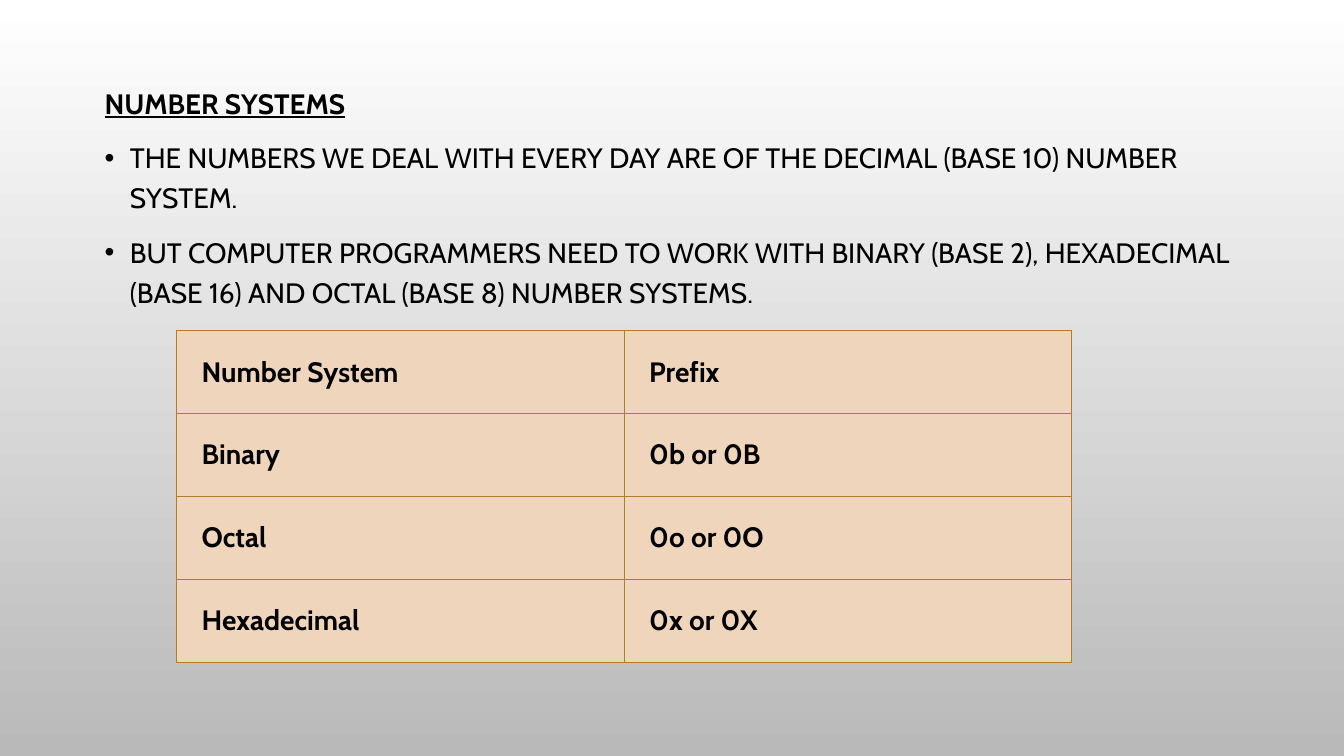
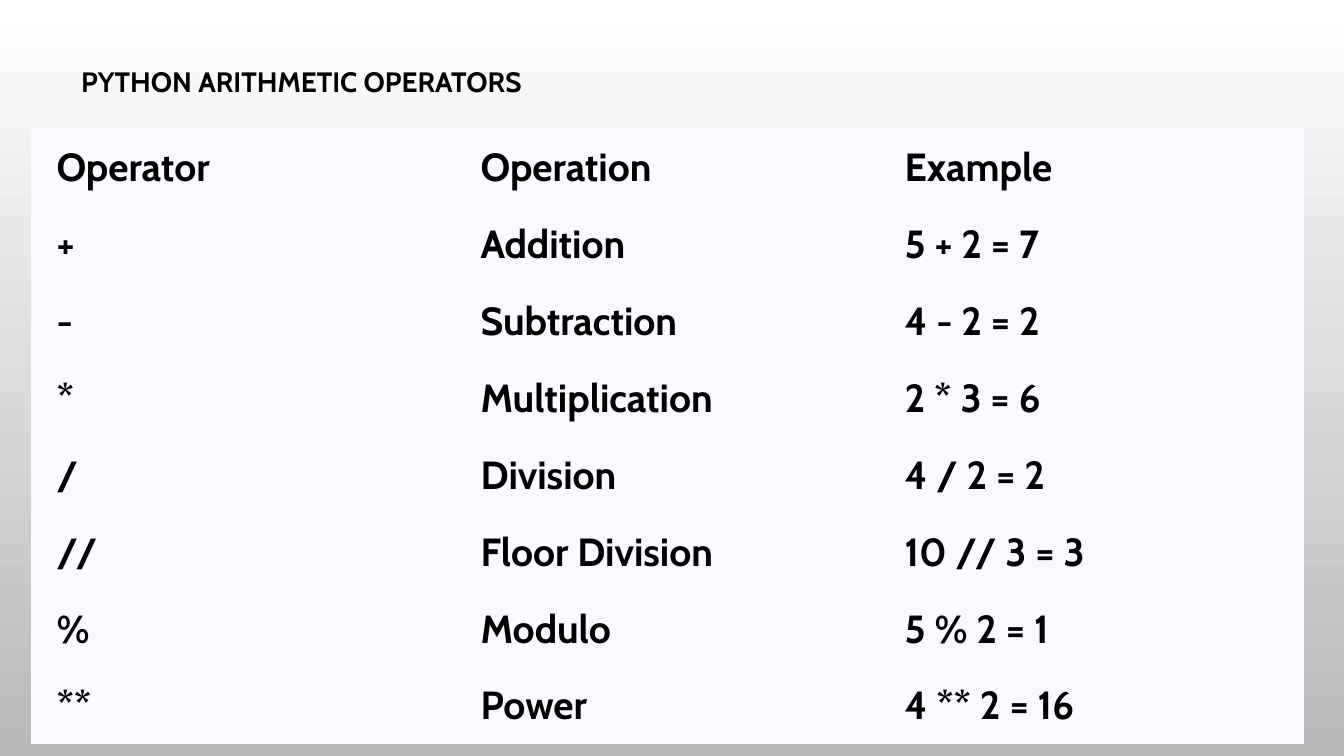
from dataclasses import dataclass

from lxml.etree import SubElement
from pptx import Presentation
from pptx.dml.color import RGBColor
from pptx.enum.text import MSO_ANCHOR
from pptx.oxml import parse_xml
from pptx.oxml.ns import nsdecls, qn
from pptx.util import Inches, Pt


@dataclass(frozen=True)
class Theme:
    font: str = "Cabin"
    bullet_font: str = "Arial"
    ink: str = "000000"
    backdrop: tuple = ("FFFFFF", "B9B9B9")
    peach: str = "EFD5BC"
    bronze: str = "AE7D32"
    ice: str = "F8FAFF"
    body_size: int = 20
    large_size: int = 28
    line_spacing: float = 1.2
    paragraph_gap: int = 10
    bullet_indent: float = 0.25
    cell_inset: tuple = (0.25, 0.12)
    border_width: float = 0.75
    plain_table: str = "{2D5ABB26-0587-4C30-8999-92F81FD0307C}"


class Deck:
    def __init__(self, theme):
        self.theme = theme
        self.presentation = Presentation()
        self.presentation.slide_width = Inches(13.33)
        self.presentation.slide_height = Inches(7.5)
        self.slide = None

    def new_slide(self):
        self.slide = self.presentation.slides.add_slide(self.presentation.slide_layouts[6])
        backdrop = self.slide.background.fill
        backdrop.gradient()
        backdrop.gradient_angle = 270
        for stop, color in zip(backdrop.gradient_stops, self.theme.backdrop):
            stop.color.rgb = RGBColor.from_string(color)

    def area(self, left, top, width, height):
        across = self.presentation.slide_width / 100
        down = self.presentation.slide_height / 100
        return [int(share) for share in (left * across, top * down, width * across, height * down)]

    def style(self, paragraph, size, bold=False, underline=False):
        for run in paragraph.runs:
            run.font.name = self.theme.font
            run.font.size = Pt(size)
            run.font.bold = bold
            run.font.underline = underline
            run.font.color.rgb = RGBColor.from_string(self.theme.ink)

    def add_bullet(self, paragraph):
        properties = paragraph._p.get_or_add_pPr()
        indent = Inches(self.theme.bullet_indent)
        properties.set("marL", str(indent))
        properties.set("indent", str(-indent))
        color = SubElement(properties, qn("a:buClr"))
        SubElement(color, qn("a:srgbClr"), val=self.theme.ink)
        SubElement(properties, qn("a:buFont"), typeface=self.theme.bullet_font)
        SubElement(properties, qn("a:buChar"), char="•")

    def body(self, area, heading, points=(), underline=False):
        frame = self.slide.shapes.add_textbox(*self.area(*area)).text_frame
        frame.word_wrap = True
        frame.text = "\n".join([heading, *points])
        for index, paragraph in enumerate(frame.paragraphs):
            is_heading = index == 0
            if not is_heading:
                self.add_bullet(paragraph)
                paragraph.space_before = Pt(self.theme.paragraph_gap)
            paragraph.line_spacing = self.theme.line_spacing
            self.style(paragraph, self.theme.body_size, is_heading, is_heading and underline)

    def add_border(self, cell, color):
        properties = cell._tc.get_or_add_tcPr()
        width = Pt(self.theme.border_width)
        for position, side in enumerate(("lnL", "lnR", "lnT", "lnB")):
            properties.insert(position, parse_xml(
                f'<a:{side} {nsdecls("a")} w="{width}"><a:solidFill>'
                f'<a:srgbClr val="{color}"/></a:solidFill></a:{side}>'))

    def table(self, area, rows, size, fill, border=None):
        left, top, width, height = self.area(*area)
        table = self.slide.shapes.add_table(
            len(rows), len(rows[0]), left, top, width, height).table
        table.first_row = table.horz_banding = False
        table._tbl.tblPr.find(qn("a:tableStyleId")).text = self.theme.plain_table
        inset_x, inset_y = map(Inches, self.theme.cell_inset)
        for column in table.columns:
            column.width = width // len(rows[0])
        for row, texts in zip(table.rows, rows):
            row.height = height // len(rows)
            for cell, text in zip(row.cells, texts):
                cell.text_frame.text = text
                self.style(cell.text_frame.paragraphs[0], size, bold=True)
                cell.vertical_anchor = MSO_ANCHOR.MIDDLE
                cell.margin_left = cell.margin_right = inset_x
                cell.margin_top = cell.margin_bottom = inset_y
                cell.fill.solid()
                cell.fill.fore_color.rgb = RGBColor.from_string(fill)
                if border:
                    self.add_border(cell, border)


def number_systems(deck):
    deck.new_slide()
    deck.body((7.05, 9.87, 86.1, 80.27), "NUMBER SYSTEMS", [
        "THE NUMBERS WE DEAL WITH EVERY DAY ARE OF THE DECIMAL (BASE 10) NUMBER SYSTEM.",
        "BUT COMPUTER PROGRAMMERS NEED TO WORK WITH BINARY (BASE 2), "
        "HEXADECIMAL (BASE 16) AND OCTAL (BASE 8) NUMBER SYSTEMS.",
    ], underline=True)
    prefixes = [
        ("Number System", "Prefix"),
        ("Binary", "0b or 0B"),
        ("Octal", "0o or 0O"),
        ("Hexadecimal", "0x or 0X"),
    ]
    deck.table((13.13, 43.73, 66.6, 43.87), prefixes,
               deck.theme.body_size, deck.theme.peach, deck.theme.bronze)


def arithmetic_operators(deck):
    deck.new_slide()
    deck.body((5.3, 6.93, 87.84, 83.07), "PYTHON ARITHMETIC OPERATORS")
    operators = [
        ("Operator", "Operation", "Example"),
        ("+", "Addition", "5 + 2 = 7"),
        ("-", "Subtraction", "4 - 2 = 2"),
        ("*", "Multiplication", "2 * 3 = 6"),
        ("/", "Division", "4 / 2 = 2"),
        ("//", "Floor Division", "10 // 3 = 3"),
        ("%", "Modulo", "5 % 2 = 1"),
        ("**", "Power", "4 ** 2 = 16"),
    ]
    deck.table((2.33, 17.07, 94.67, 81.4), operators,
               deck.theme.large_size, deck.theme.ice)


def main():
    deck = Deck(Theme())
    number_systems(deck)
    arithmetic_operators(deck)
    deck.presentation.save("out.pptx")


if __name__ == "__main__":
    main()
